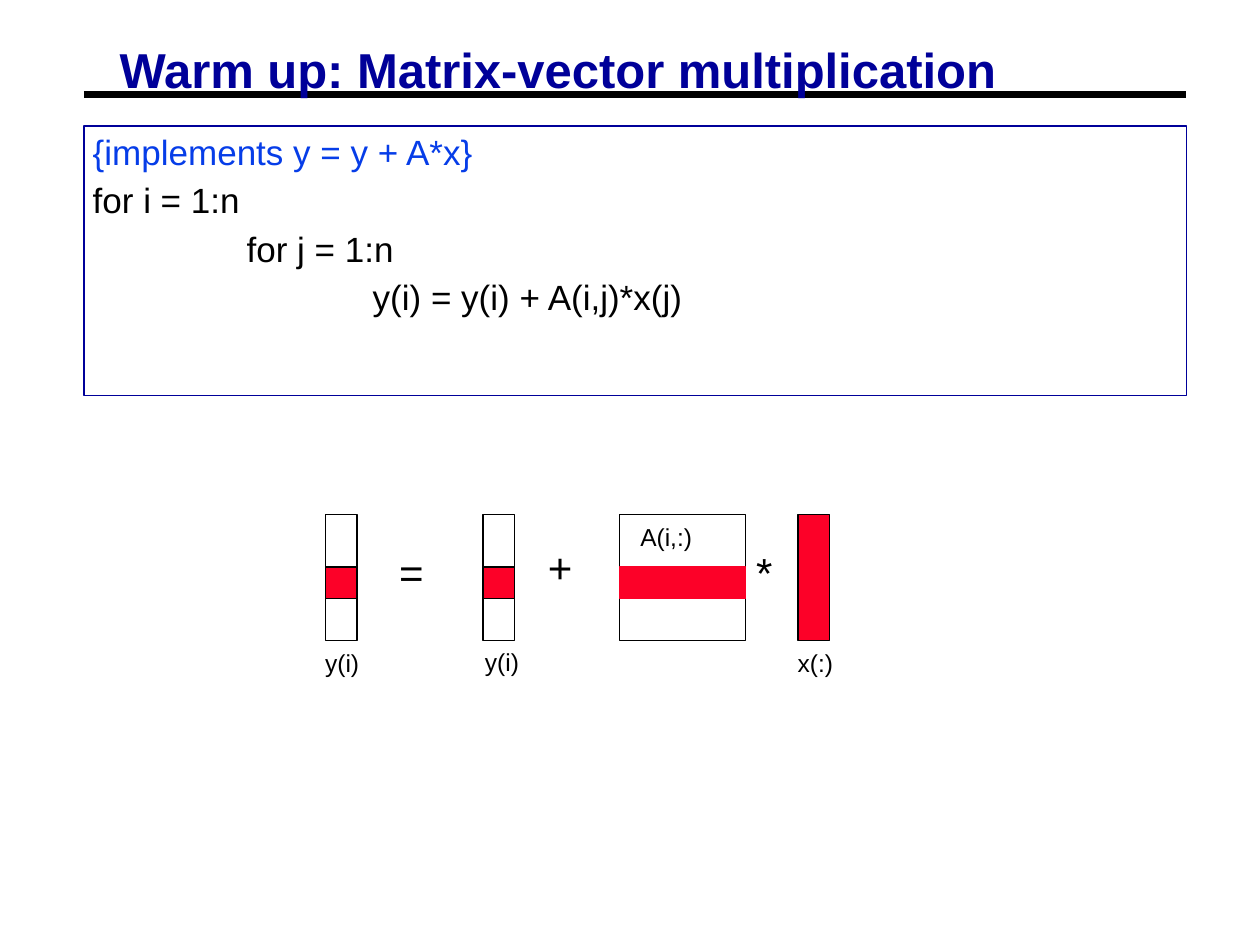
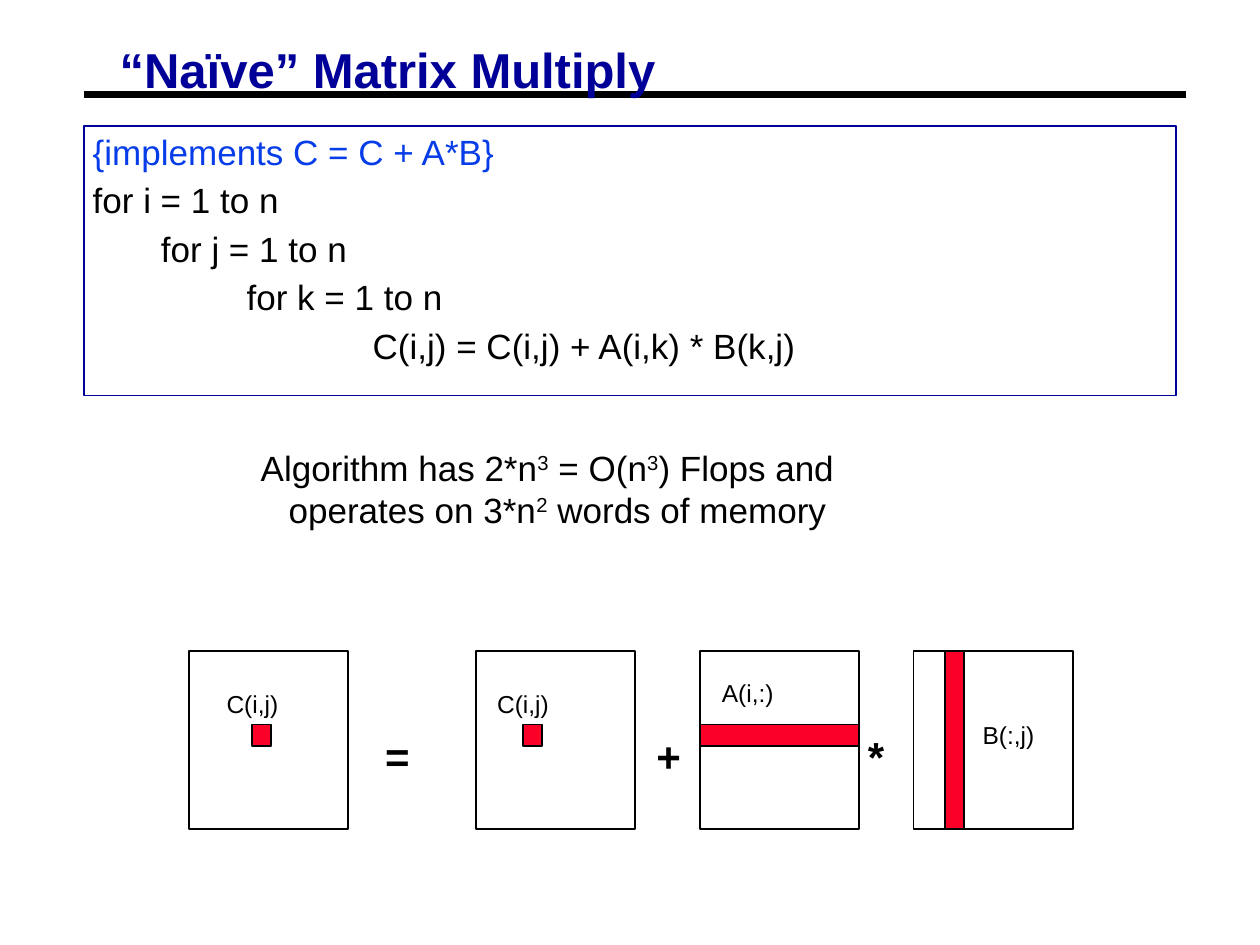
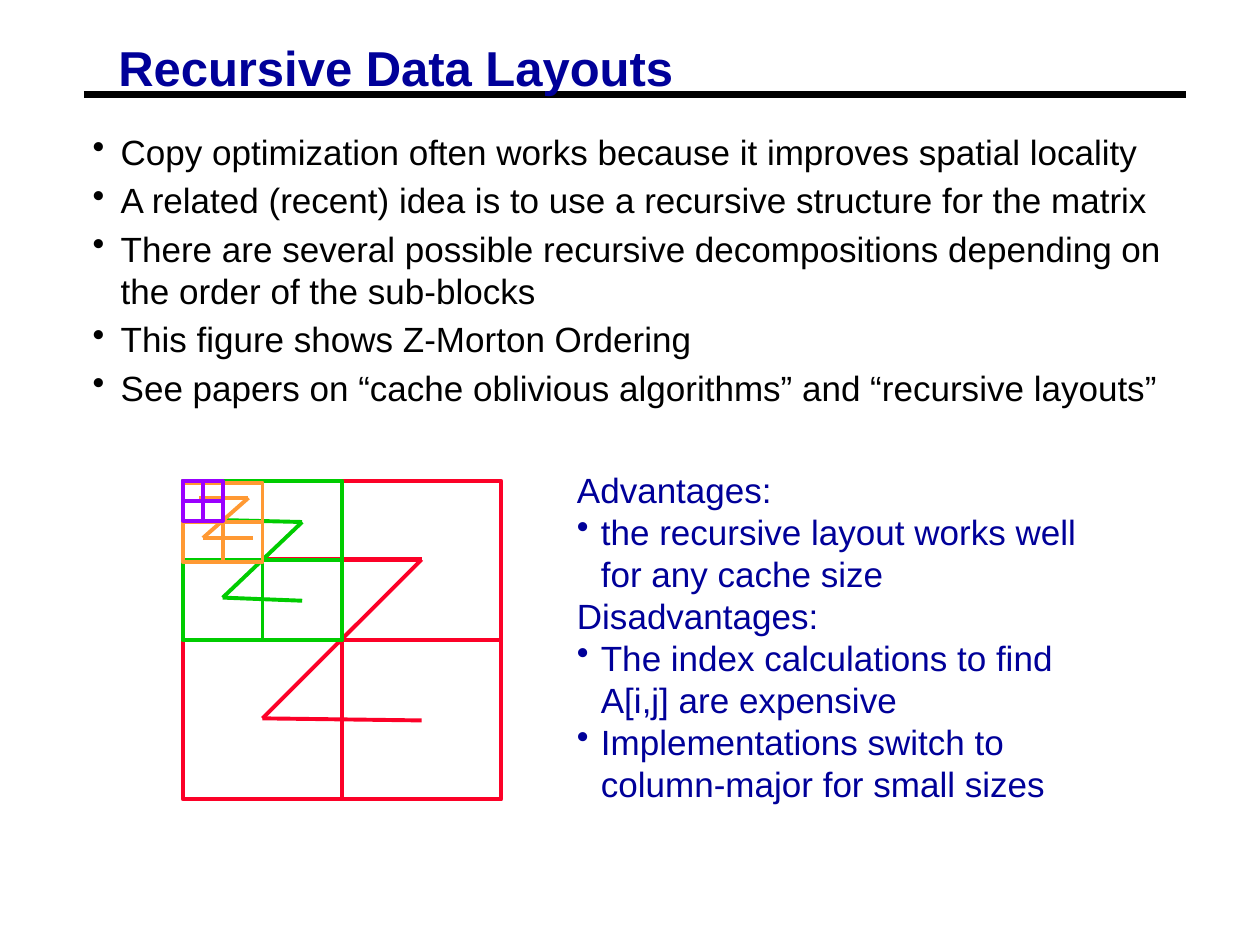
from itertools import product

from lxml.etree import SubElement
from pptx import Presentation
from pptx.dml.color import RGBColor
from pptx.enum.shapes import MSO_CONNECTOR, MSO_SHAPE
from pptx.enum.text import MSO_ANCHOR, MSO_AUTO_SIZE, PP_ALIGN
from pptx.oxml.ns import qn
from pptx.util import Pt

BLACK, NAVY, BLUE, RED = "000000", "000099", "063DE8", "FC0128"
GREEN, ORANGE, PURPLE = "00CC00", "FF9933", "9900FF"
TIGHT = (5, 2.4)
ROOMY = (7.2, 3.6)


def rgb(hex_code):
    return RGBColor.from_string(hex_code)


def points(values):
    return [Pt(value) for value in values]


def set_all(target, values):
    for name, value in values.items():
        setattr(target, name, value)


class Deck:
    """Holds the shared style and the slide being built."""

    font = "Arial"
    title_only = 5

    def __init__(self):
        self.presentation = Presentation()
        set_all(self.presentation, {"slide_width": Pt(720), "slide_height": Pt(540)})
        self.slide = None

    def new_slide(self, title, left, top, width):
        layout = self.presentation.slide_layouts[self.title_only]
        self.slide = self.presentation.slides.add_slide(layout)
        heading = self.slide.shapes.title
        set_all(heading, dict(zip(("left", "top", "width", "height"),
                                  points((left, top, width, 33)))))
        self.fill_text(heading, [(title, {})], size=28, color=NAVY, bold=True,
                       insets=TIGHT, line_spacing=0.87)
        rule = self.line((48, 54), (678, 54), BLACK, 3.75)
        heading.element.addprevious(rule.element)

    def fill_text(self, shape, paragraphs, size=20, color=BLACK, bold=False, insets=ROOMY,
                  wrap=True, grow=True, **spacing):
        """Fill a shape with (text, options) pairs; |bars| enclose superscripts."""
        frame = shape.text_frame
        across, down = points(insets)
        set_all(frame, {
            "margin_left": across, "margin_right": across,
            "margin_top": down, "margin_bottom": down,
            "word_wrap": wrap, "vertical_anchor": MSO_ANCHOR.TOP,
            "auto_size": MSO_AUTO_SIZE.SHAPE_TO_FIT_TEXT if grow else MSO_AUTO_SIZE.NONE,
        })
        for number, (text, options) in enumerate(paragraphs):
            paragraph = frame.add_paragraph() if number else frame.paragraphs[0]
            set_all(paragraph, {"alignment": PP_ALIGN.LEFT, **spacing})
            self.indent(paragraph, **{key: options[key] for key in options if key != "color"})
            for part, words in enumerate(text.split("|")):
                run = paragraph.add_run()
                run.text = words
                set_all(run.font, {"name": self.font, "size": Pt(size), "bold": bold})
                run.font.color.rgb = rgb(options.get("color", color))
                if part % 2:
                    run.font._element.set("baseline", "30000")

    def indent(self, paragraph, margin=0, hanging=0, bullet=False):
        properties = paragraph._p.get_or_add_pPr()
        properties.set("marL", str(Pt(margin)))
        properties.set("indent", str(-Pt(hanging)))
        if bullet:
            SubElement(properties, qn("a:buChar")).set("char", "•")

    def text(self, box, paragraphs, **style):
        self.fill_text(self.slide.shapes.add_textbox(*points(box)), paragraphs, **style)

    def labels(self, rows, height, **style):
        for words, left, top, width in rows:
            self.text((left, top, width, height), [(words, {})], **style)

    def rect(self, box, fill=None, line=BLACK, weight=1):
        shape = self.slide.shapes.add_shape(MSO_SHAPE.RECTANGLE, *points(box))
        shape.shadow.inherit = False
        if fill:
            shape.fill.solid()
            shape.fill.fore_color.rgb = rgb(fill)
        else:
            shape.fill.background()
        shape.line.color.rgb = rgb(line)
        shape.line.width = Pt(weight)
        return shape

    def line(self, start, end, color, weight):
        connector = self.slide.shapes.add_connector(
            MSO_CONNECTOR.STRAIGHT, *points((*start, *end)))
        connector.line.color.rgb = rgb(color)
        connector.line.width = Pt(weight)
        SubElement(connector.element.spPr, qn("a:effectLst"))
        return connector

    def code(self, width, comment, steps):
        """Framed pseudocode: a coloured comment, then (text, margin) steps."""
        frame = self.rect((48, 72, width, 154), line=NAVY, weight=0.75)
        paragraphs = [(comment, {"color": BLUE})]
        paragraphs += [(step, {"margin": margin}) for step, margin in steps]
        self.fill_text(frame, paragraphs, insets=TIGHT, grow=False, space_before=Pt(3.7))

    def z_order(self, left, top, cell, color, corners=None, top_weight=2.25):
        """Two by two blocks, with the Z that visits them."""
        for column, row in product(range(2), repeat=2):
            self.rect((left + column * cell, top + row * cell, cell, cell),
                      line=color, weight=2.25)
        if corners:
            upper_left, upper_right, lower_left, lower_right = corners
            self.line(upper_left, upper_right, color, top_weight)
            self.line(upper_right, lower_left, color, 2.25)
            self.line(lower_left, lower_right, color, 2.25)


def matrix_vector(deck):
    deck.new_slide("Warm up: Matrix-vector multiplication", 63.4, 24.5, 512.8)
    deck.code(630, "{implements y = y + A*x}", [
        ("for i = 1:n", 0),
        ("for j = 1:n", 88),
        ("y(i) = y(i) + A(i,j)*x(j)", 160),
    ])
    top, row_top, thin, tall = 294, 324, 18, 72
    y_columns = (186, 276)
    matrix_left = 354
    for left in y_columns:
        deck.rect((left, top, thin, tall))
        deck.rect((left, row_top, thin, thin), RED)
    deck.rect((matrix_left, top, tall, tall))
    deck.rect((matrix_left, row_top, tall, thin), RED, RED)
    deck.rect((456, top, thin, tall), RED)
    deck.labels([("=", 221, 309, 28), ("+", 306, 306, 28), ("*", 425, 309, 24)],
                36, size=24, wrap=False)
    deck.labels([("y(i)", 178.7, 367, 34), ("y(i)", 270, 366, 34),
                 ("A(i,:)", 358.8, 295, 44), ("x(:)", 448.7, 367, 34.5)],
                24.5, size=14, wrap=False)


def naive_multiply(deck):
    deck.new_slide("“Naïve” Matrix Multiply", 63.4, 24.5, 317)
    deck.code(624, "{implements C = C + A*B}", [
        ("for i = 1 to n", 0),
        ("for j = 1 to n", 39),
        ("for k = 1 to n", 88),
        ("C(i,j) = C(i,j) + A(i,k) * B(k,j)", 160),
    ])
    top, width, height = 372, 91, 102
    row_top, column_width, row_height = 414, 10.8, 12.2
    a_left = 400
    for left in (108, 272, a_left, 522):
        deck.rect((left, top, width, height))
    for left in (144, 298.8):
        deck.rect((left, row_top, column_width, row_height), RED)
    deck.rect((a_left, row_top, width, row_height), RED)
    deck.rect((540, top, column_width, height), RED)
    deck.labels([("=", 213, 414, 42.5), ("+", 368, 414, 21.6), ("*", 490, 414, 13)],
                36, size=24, bold=True)
    deck.labels([("C(i,j)", 122.4, 390, 53), ("C(i,j)", 277, 390, 53),
                 ("A(i,:)", 405.4, 384, 53), ("B(:,j)", 554.4, 408, 53)],
                24.5, size=14)
    deck.text((144, 252.7, 371, 52), [
        ("Algorithm has 2*n|3| = O(n|3|) Flops and operates on 3*n|2| words of memory",
         {"margin": 16, "hanging": 16}),
    ], insets=TIGHT, space_before=Pt(3.7))


def recursive_layouts(deck):
    deck.new_slide("Recursive Data Layouts", 62.6, 23.8, 328.3)
    bullet = {"margin": 16, "hanging": 16, "bullet": True}
    deck.text((48, 72, 630, 163), [(point, bullet) for point in (
        "Copy optimization often works because it improves spatial locality",
        "A related (recent) idea is to use a recursive structure for the matrix",
        "There are several possible recursive decompositions depending on "
        "the order of the sub-blocks",
        "This figure shows Z-Morton Ordering",
        "See papers on “cache oblivious algorithms” and “recursive layouts”",
    )], insets=TIGHT, grow=False, space_before=Pt(3.7))

    left, top, block = 104.5, 274.8, 91
    deck.z_order(left, top, block, RED,
                 ((150, 319.7), (241, 319.7), (150, 410.5), (241, 411.7)), top_weight=3)
    deck.z_order(left, top, block / 2, GREEN,
                 ((127.3, 297.2), (172.7, 298.3), (127.3, 341.5), (172.7, 343.3)))
    deck.z_order(left, top + 1, block / 4, ORANGE,
                 ((114, 284.5), (142, 284.5), (116, 307.4), (144.5, 307.4)))
    deck.z_order(left, top, block / 8, PURPLE)

    heading = {"margin": 13.7, "hanging": 13.7}
    item = {**heading, "bullet": True}
    deck.text((322.6, 264.2, 319, 199.5), [
        ("Advantages:", heading),
        ("the recursive layout works well for any cache size", item),
        ("Disadvantages:", heading),
        ("The index calculations to find A[i,j] are expensive", item),
        ("Implementations switch to column-major for small sizes", item),
    ], color=NAVY)


def main():
    deck = Deck()
    matrix_vector(deck)
    naive_multiply(deck)
    recursive_layouts(deck)
    deck.presentation.save("out.pptx")


if __name__ == "__main__":
    main()
